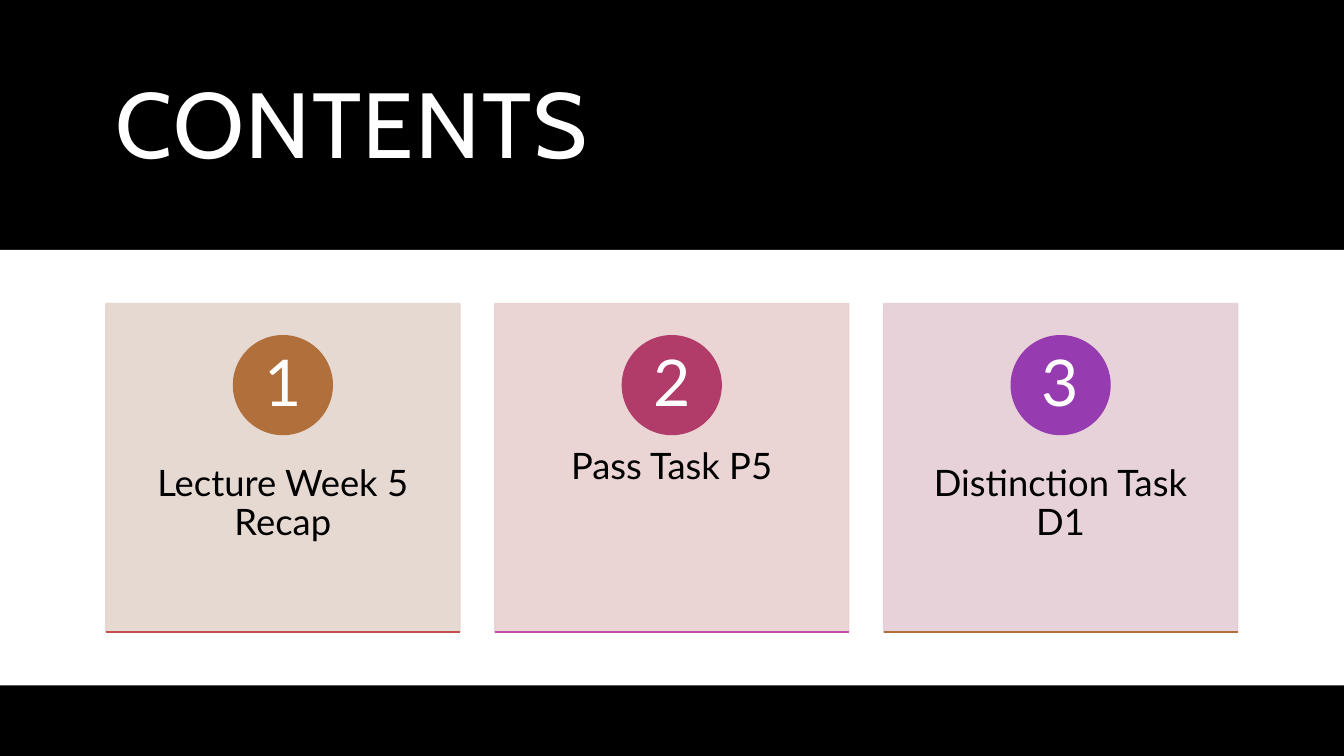
import lxml.etree
import pptx
import pptx.dml.color
import pptx.enum.shapes
import pptx.enum.text
import pptx.oxml.ns
import pptx.util
from pptx.util import Cm

COLOURS = {
    "black": "000000", "white": "FFFFFF",
    "sand": "E4D5CE", "blush": "E9D0D0", "mauve": "E4CED4",
    "brown": "B1703B", "crimson": "B13B69", "purple": "973BB1",
    "red": "C3504D", "pink": "C34DAC",
}
CARDS = [
    ("Lecture Week 5 Recap", "sand", "brown", "red"),
    ("Pass Task P5", "blush", "crimson", "pink"),
    ("Distinction Task D1", "mauve", "purple", "brown"),
]
SHAPES = pptx.enum.shapes.MSO_SHAPE
ALIGN = pptx.enum.text.PP_ALIGN
ANCHOR = pptx.enum.text.MSO_ANCHOR
SLIDE_WIDTH, SLIDE_HEIGHT = Cm(33.87), Cm(19.05)
CARD_LEFT, CARD_TOP = Cm(2.67), Cm(7.65)
CARD_WIDTH, CARD_HEIGHT, CARD_PITCH = Cm(8.92), Cm(8.28), Cm(9.8)
CIRCLE_SIZE, NUMBER_SIZE = Cm(2.49), Cm(1.75)


def rgb(name):
    """Return the named colour."""
    return pptx.dml.color.RGBColor.from_string(COLOURS[name])


def add_block(page, kind, left, top, width, height, colour, outlined=False, opacity=100):
    """Add a flat filled shape."""
    block = page.shapes.add_shape(kind, left, top, width, height)
    block.shadow.inherit = False
    block.fill.solid()
    block.fill.fore_color.rgb = rgb(colour)
    if outlined:
        block.line.color.rgb = rgb(colour)
        block.line.width = pptx.util.Pt(1)
    else:
        block.line.fill.background()
    if opacity < 100:
        tag = pptx.oxml.ns.qn("a:srgbClr")
        for shade in list(block.element.spPr.iter(tag)):
            alpha = lxml.etree.SubElement(shade, pptx.oxml.ns.qn("a:alpha"))
            alpha.set("val", str(opacity * 1000))


def add_rule(page, left, top, width, colour):
    """Add a thin horizontal line."""
    rule = page.shapes.add_connector(
        pptx.enum.shapes.MSO_CONNECTOR.STRAIGHT, left, top, left + width, top)
    rule.line.color.rgb = rgb(colour)
    rule.line.width = pptx.util.Pt(1)
    lxml.etree.SubElement(rule.element.spPr, pptx.oxml.ns.qn("a:effectLst"))


def add_text(page, text, left, top, width, height, *, size, colour, font="Lato",
             align=ALIGN.CENTER, anchor=ANCHOR.MIDDLE, margins=(0.25, 0.13), spacing=0):
    """Add a one-paragraph text box."""
    frame = page.shapes.add_textbox(left, top, width, height).text_frame
    frame.word_wrap = True
    frame.vertical_anchor = anchor
    frame.margin_left = frame.margin_right = Cm(margins[0])
    frame.margin_top = frame.margin_bottom = Cm(margins[1])
    para = frame.paragraphs[0]
    para.alignment = align
    para.line_spacing = 0.9
    span = para.add_run()
    span.text = text
    span.font.name = font
    span.font.size = pptx.util.Pt(size)
    span.font.color.rgb = rgb(colour)
    if spacing:
        span.font._element.set("spc", str(round(spacing * 100)))


def add_card(page, index, label, tint, accent, edge):
    """Add one numbered contents card."""
    left = CARD_LEFT + index * CARD_PITCH
    add_block(page, SHAPES.RECTANGLE, left, CARD_TOP, CARD_WIDTH, CARD_HEIGHT, tint,
              outlined=True, opacity=90)
    add_text(page, label, left, Cm(10.8), CARD_WIDTH, Cm(4.98), size=26, colour="black",
             anchor=ANCHOR.TOP, margins=(0.69, 0.91))
    add_block(page, SHAPES.OVAL, left + (CARD_WIDTH - CIRCLE_SIZE) // 2, Cm(8.46),
              CIRCLE_SIZE, CIRCLE_SIZE, accent, outlined=True)
    add_text(page, str(index + 1), left + (CARD_WIDTH - NUMBER_SIZE) // 2, Cm(8.84),
             NUMBER_SIZE, NUMBER_SIZE, size=46, colour="white", margins=(0.2, 0.03))
    add_rule(page, left, CARD_TOP + CARD_HEIGHT, CARD_WIDTH, edge)


def main():
    """Build and save the contents slide."""
    deck = pptx.Presentation()
    deck.slide_width, deck.slide_height = SLIDE_WIDTH, SLIDE_HEIGHT
    page = deck.slides.add_slide(deck.slide_layouts[6])
    add_block(page, SHAPES.RECTANGLE, 0, 0, SLIDE_WIDTH, SLIDE_HEIGHT, "black")
    add_text(page, "CONTENTS", CARD_LEFT, Cm(0.89), Cm(28.52), Cm(4.72), size=66,
             colour="white", font="Cabin", align=ALIGN.LEFT, spacing=1.2)
    add_block(page, SHAPES.RECTANGLE, 0, Cm(6.3), SLIDE_WIDTH, Cm(10.97), "white")
    for index, card in enumerate(CARDS):
        add_card(page, index, *card)
    deck.save("out.pptx")


if __name__ == "__main__":
    main()
